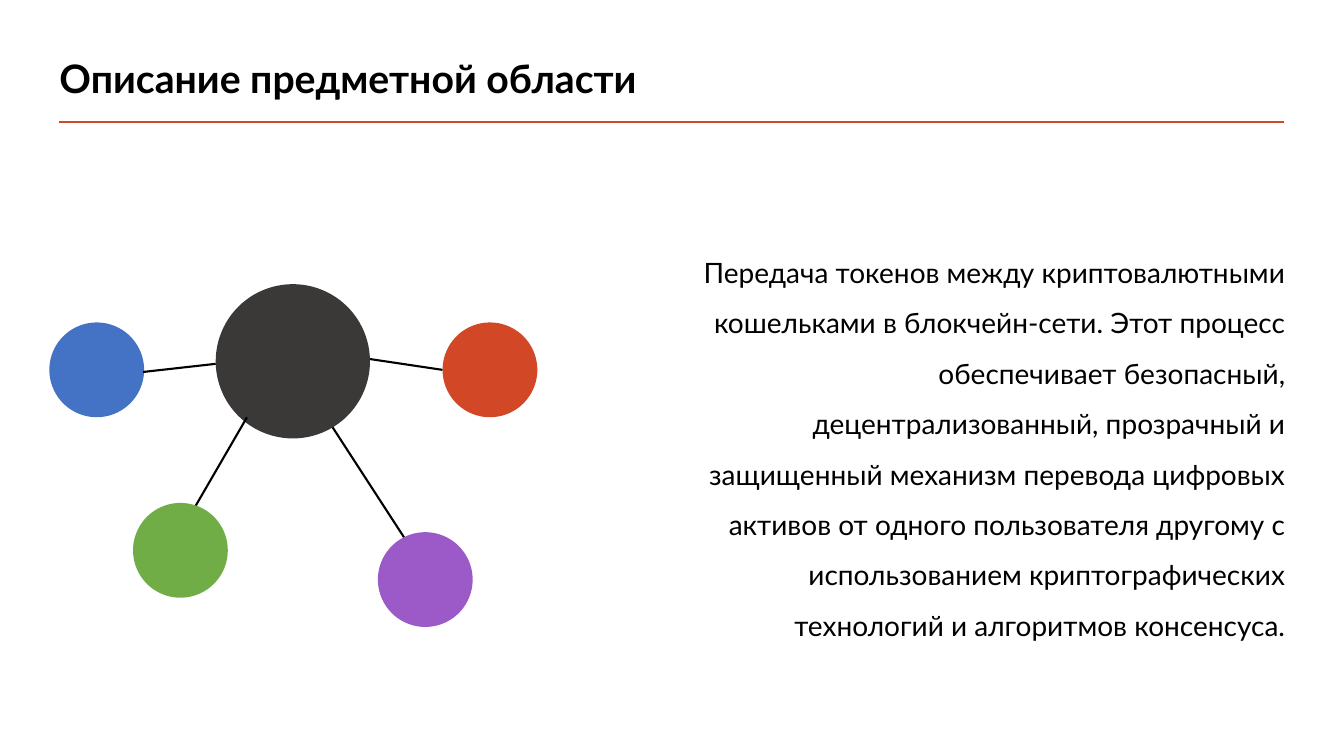
from pptx import Presentation
from pptx.dml.color import RGBColor
from pptx.enum.shapes import MSO_CONNECTOR as CONN, MSO_SHAPE as SHAPE
from pptx.enum.text import MSO_ANCHOR as ANCHOR, MSO_AUTO_SIZE as AUTO, PP_ALIGN as ALIGN
from pptx.oxml.ns import qn
from pptx.util import Pt
from lxml import etree

BLACK, ACCENT = "000000", "D24726"
BODY = (
    "Передача токенов между криптовалютными кошельками в блокчейн-сети. "
    "Этот процесс обеспечивает безопасный, децентрализованный, прозрачный и "
    "защищенный механизм перевода цифровых активов от одного пользователя "
    "другому с использованием криптографических технологий и алгоритмов консенсуса."
)


def rgb(value):
    return RGBColor.from_string(value)


def write(tf, text, size=20, bold=False, align=ALIGN.LEFT, spacing=1.0, after=0,
          font="Lato", color=BLACK):
    p = tf.paragraphs[0]
    p.alignment, p.line_spacing = align, spacing
    p.space_before, p.space_after = Pt(0), Pt(after)
    r = p.add_run()
    r.text = text
    r.font.name, r.font.size, r.font.bold = font, Pt(size), bold
    r.font.color.rgb = rgb(color)


class SlideBuilder:
    def __init__(self, prs):
        self.s = prs.slides.add_slide(prs.slide_layouts[5])

    def title(self, text, x, y, w, h):
        sp = self.s.shapes.title
        sp.left, sp.top, sp.width, sp.height = Pt(x), Pt(y), Pt(w), Pt(h)
        tf = sp.text_frame
        tf.word_wrap, tf.auto_size = True, AUTO.NONE
        tf.vertical_anchor = ANCHOR.MIDDLE
        write(tf, text, size=28, bold=True, spacing=0.9)

    def text(self, text, x, y, w, h, **fmt):
        tf = self.s.shapes.add_textbox(Pt(x), Pt(y), Pt(w), Pt(h)).text_frame
        tf.word_wrap, tf.auto_size = True, AUTO.SHAPE_TO_FIT_TEXT
        write(tf, text, **fmt)

    def group(self):
        return self.s.shapes.add_group_shape().shapes

    def line(self, x1, y1, x2, y2, color=BLACK, width=1.5, shapes=None):
        shapes = self.s.shapes if shapes is None else shapes
        cx = shapes.add_connector(CONN.STRAIGHT, Pt(x1), Pt(y1), Pt(x2), Pt(y2))
        cx.line.color.rgb, cx.line.width = rgb(color), Pt(width)
        sp_pr = cx._element.find(qn("p:spPr"))
        etree.SubElement(sp_pr, qn("a:effectLst"))

    def circle(self, shapes, cx, cy, color, d=67.7):
        sp = shapes.add_shape(SHAPE.OVAL, Pt(cx - d / 2), Pt(cy - d / 2), Pt(d), Pt(d))
        sp.shadow.inherit = False
        sp.fill.solid()
        sp.fill.fore_color.rgb = rgb(color)
        sp.line.fill.background()


def main():
    prs = Presentation()
    prs.slide_width, prs.slide_height = Pt(960), Pt(540)
    slide = SlideBuilder(prs)

    # Heading and rule
    slide.line(42, 87.1, 917.4, 87.1, color=ACCENT, width=2)
    slide.title("Описание предметной области", 35.3, 32.4, 720, 50.4)

    # Description
    slide.text(BODY, 484.6, 167, 440.6, 293.8, align=ALIGN.RIGHT, spacing=1.5, after=8)

    # Network: right links lie under the hub, left links over it
    net = slide.group()
    slide.line(236.2, 303.1, 292.3, 389.5, shapes=net)
    slide.line(258.5, 255.6, 316.1, 264.2, shapes=net)
    for cx, cy, color in ((303.8, 414, "9B5AC8"), (69.1, 264.2, "4472C4"),
                          (350, 264.2, ACCENT)):
        slide.circle(net, cx, cy, color)
    slide.circle(net, 209.2, 258.1, "3B3838", d=110.2)
    slide.line(154.1, 259.9, 102.2, 265.7, shapes=net)
    slide.line(176.4, 298.1, 139.7, 361.4, shapes=net)
    slide.circle(net, 128.9, 393.1, "70AD47")

    prs.save("out.pptx")


if __name__ == "__main__":
    main()
